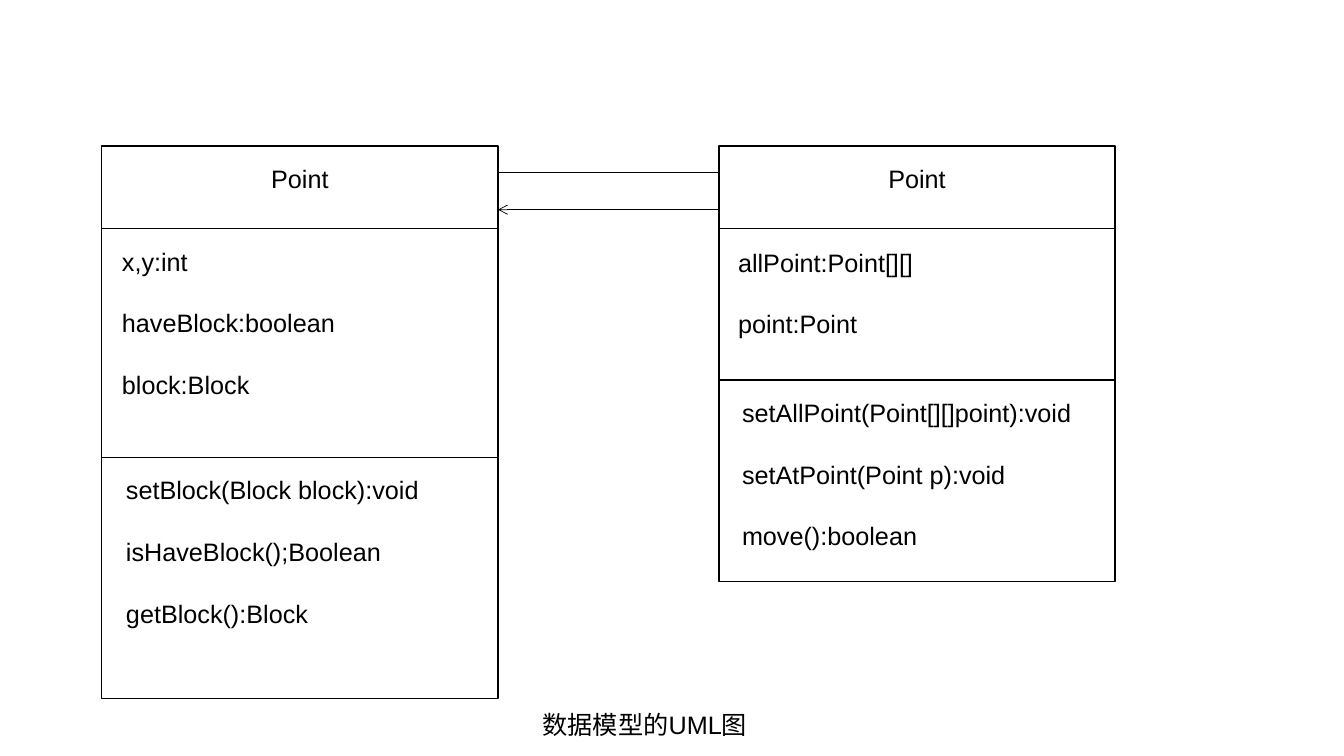
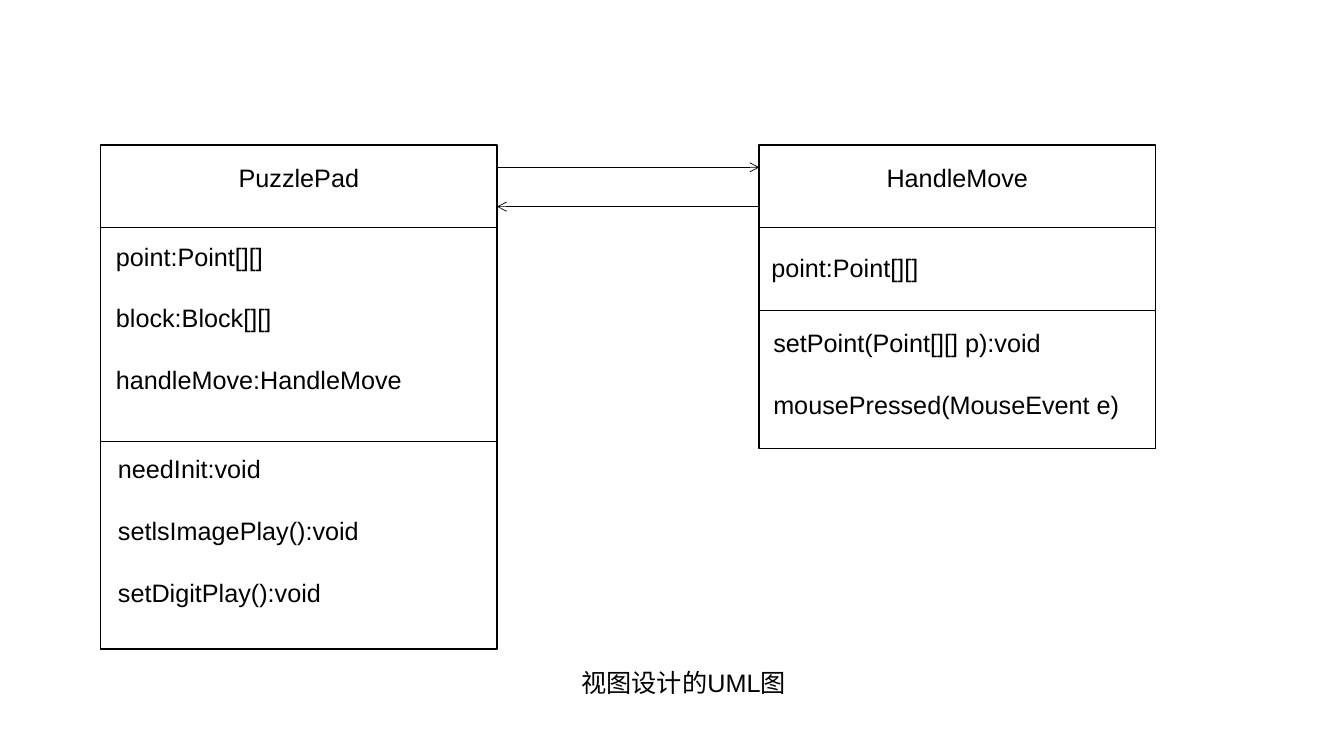
from dataclasses import dataclass

from lxml import etree
from pptx import Presentation
from pptx.dml.color import RGBColor
from pptx.enum.shapes import MSO_CONNECTOR, MSO_SHAPE
from pptx.enum.text import MSO_ANCHOR, PP_ALIGN
from pptx.oxml.ns import qn
from pptx.util import Pt

RECTANGLE = MSO_SHAPE.RECTANGLE
STRAIGHT = MSO_CONNECTOR.STRAIGHT
TOP = MSO_ANCHOR.TOP
LEFT, CENTER = PP_ALIGN.LEFT, PP_ALIGN.CENTER

EMU_PER_PX = 9144  # 100 px to the inch
SLIDE_SIZE = (1333, 750)
CLASS_WIDTH = 393
NAME_HEIGHT = 82
NAME_INSET = (10, 17)
CAPTION_HEIGHT = 40
CAPTION_INSET = (10, 5)


@dataclass(frozen=True)
class Theme:
    ink: RGBColor = RGBColor(0, 0, 0)
    paper: RGBColor = RGBColor(255, 255, 255)
    font: str = "Arial"
    text_size: float = 18
    member_gap: float = 22.5
    border: float = 1
    link: float = 0.5


THEME = Theme()

# Each compartment: height, text inset (left, top), members.
# Each link: y, points right, has an arrowhead.
DIAGRAMS = [
    {
        "top": 145,
        "classes": [
            {"left": 101, "name": "Point", "compartments": [
                (227, (20, 17), ["x,y:int", "haveBlock:boolean", "block:Block"]),
                (239, (24, 17), ["setBlock(Block block):void",
                                 "isHaveBlock();Boolean", "getBlock():Block"]),
            ]},
            {"left": 713, "name": "Point", "compartments": [
                (150, (19, 18), ["allPoint:Point[][]", "point:Point"]),
                (200, (23, 17), ["setAllPoint(Point[][]point):void",
                                 "setAtPoint(Point p):void", "move():boolean"]),
            ]},
        ],
        "links": [(171, True, False), (208, False, True)],
        "caption": ("数据模型的UML图", 350, 699, 579),
    },
    {
        "top": 144,
        "classes": [
            {"left": 100, "name": "PuzzlePad", "compartments": [
                (212, (15, 13), ["point:Point[][]", "block:Block[][]",
                                 "handleMove:HandleMove"]),
                (206, (17, 12), ["needInit:void", "setlsImagePlay():void",
                                 "setDigitPlay():void"]),
            ]},
            {"left": 753, "name": "HandleMove", "compartments": [
                (82, (12, 24), ["point:Point[][]"]),
                (137, (14, 17), ["setPoint(Point[][] p):void",
                                 "mousePressed(MouseEvent e)"]),
            ]},
        ],
        "links": [(166, True, True), (205, False, True)],
        "caption": ("视图设计的UML图", 404, 657, 548),
    },
]


def px(*lengths):
    return [length * EMU_PER_PX for length in lengths]


def write_lines(shape, lines, inset, align):
    frame = shape.text_frame
    frame.word_wrap = True
    frame.vertical_anchor = TOP
    frame.margin_left, frame.margin_top = px(*inset)
    frame.margin_right, frame.margin_bottom = px(10, 0)
    frame.text = "\n".join(lines)
    for index, para in enumerate(frame.paragraphs):
        para.alignment = align
        para.space_before = Pt(THEME.member_gap if index else 0)
        for span in para.runs:
            span.font.name = THEME.font
            span.font.size = Pt(THEME.text_size)
            span.font.color.rgb = THEME.ink


def add_compartment(slide, left, top, height, inset, lines, align=LEFT):
    box = slide.shapes.add_shape(RECTANGLE, *px(left, top, CLASS_WIDTH, height))
    box.shadow.inherit = False
    box.fill.solid()
    box.fill.fore_color.rgb = THEME.paper
    box.line.color.rgb = THEME.ink
    box.line.width = Pt(THEME.border)
    write_lines(box, lines, inset, align)


def add_class(slide, top, left, name, compartments):
    add_compartment(slide, left, top, NAME_HEIGHT, NAME_INSET, [name], CENTER)
    top += NAME_HEIGHT
    for height, inset, members in compartments:
        add_compartment(slide, left, top, height, inset, members)
        top += height


def add_link(slide, start, end, y, arrowhead):
    link = slide.shapes.add_connector(STRAIGHT, *px(start, y, end, y))
    link.line.color.rgb = THEME.ink
    link.line.width = Pt(THEME.link)
    properties = link.element.spPr
    if arrowhead:
        etree.SubElement(properties.find(qn("a:ln")), qn("a:tailEnd"), type="arrow")
    etree.SubElement(properties, qn("a:effectLst"))


def add_caption(slide, text, left, top, width):
    box = slide.shapes.add_textbox(*px(left, top, width, CAPTION_HEIGHT))
    write_lines(box, [text], CAPTION_INSET, CENTER)


def add_diagram(deck, diagram):
    slide = deck.slides.add_slide(deck.slide_layouts[6])
    for uml_class in diagram["classes"]:
        add_class(slide, diagram["top"], **uml_class)
    first, second = diagram["classes"]
    gap = (first["left"] + CLASS_WIDTH, second["left"])
    for y, points_right, arrowhead in diagram["links"]:
        start, end = gap if points_right else reversed(gap)
        add_link(slide, start, end, y, arrowhead)
    add_caption(slide, *diagram["caption"])


def main():
    deck = Presentation()
    deck.slide_width, deck.slide_height = px(*SLIDE_SIZE)
    for diagram in DIAGRAMS:
        add_diagram(deck, diagram)
    deck.save("out.pptx")


if __name__ == "__main__":
    main()
